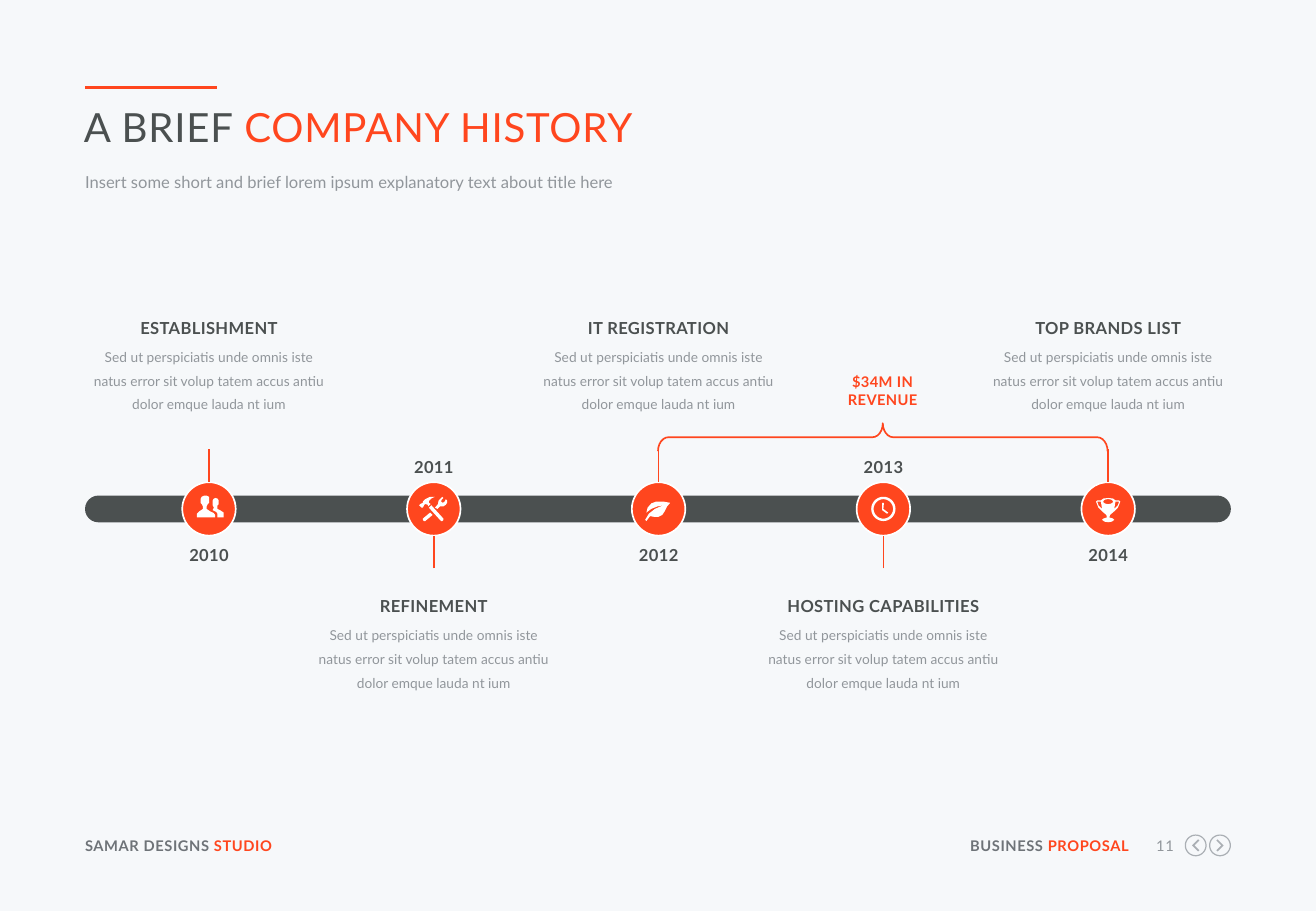
from dataclasses import dataclass
from math import cos, pi, sin

from lxml.etree import SubElement
from pptx import Presentation
from pptx.dml.color import RGBColor
from pptx.enum.shapes import MSO_CONNECTOR, MSO_SHAPE
from pptx.enum.text import PP_ALIGN
from pptx.oxml.ns import qn
from pptx.util import Inches, Pt


@dataclass(frozen=True)
class Theme:
    """Colours, type sizes and font of the slide."""
    background: str = "F6F8FA"
    accent: str = "FF461E"
    dark: str = "4B5050"
    footer: str = "6E7378"
    muted: str = "91969B"
    button: str = "AAAFB4"
    white: str = "FFFFFF"
    font: str = "Lato"
    title: float = 23.8
    heading: float = 9.8
    small: float = 8.7
    body: float = 8.1


THEME = Theme()
AXIS_Y = 4.19
FIRST_X, STEP = 1.72, 1.85
RADIUS = 0.22
STEM = 0.27
DETAIL = ("Sed ut perspiciatis unde omnis iste natus error sit volup tatem "
          "accus antiu dolor emque lauda nt ium")


def ring(radius_x, radius_y=None, center_y=0):
    """Return the outline of an ellipse in hundredths of an inch."""
    radius_y = radius_y or radius_x
    return [(radius_x * cos(pi * step / 18), center_y + radius_y * sin(pi * step / 18))
            for step in range(36)]


def mirror(outline):
    """Flip an outline from left to right."""
    return [(-x, y) for x, y in outline]


CHEVRON = [(-3, -4), (1, 0), (-3, 4), (-2, 5), (3, 0), (-2, -5)]
TROPHY_HANDLE = [(-5, 0), (-6, -6), (-9, -6), (-8, -3)]

PEOPLE = [
    [(5, 5), (5, 7), (-10, 7), (-10, 4), (-8, 2), (-5, 0), (-5, -2), (-6, -4),
     (-7, -5), (-7, -8), (-6, -10), (-4, -11), (-2, -11), (0, -10), (0, -5),
     (-1, -4), (-2, -2), (-2, 0), (1, 2), (4, 3.5)],
    [(7, 7), (7, 4), (6, 2.5), (3, 1), (4, -1), (3, -3), (3, -7), (4, -8.5),
     (5.5, -9), (7, -8.5), (8, -7), (8, -4), (7, -3), (7, 0), (9, 1), (12, 3), (12, 7)],
]
TOOLS = [
    [(-8, -3), (-7, -4), (-5, -3.5), (-4.5, -2), (-2.5, -4), (-4, -5), (-4, -6.5),
     (-2, -8.5), (1, -10), (-3, -10), (-7, -8), (-9, -6), (-9, -5), (-11, -4),
     (-12, -3), (-10, -1), (-9, -1)],
    [(-2, -3), (-4, -1), (6, 10), (7, 10), (8, 9), (8, 8)],
    [(11, -7), (10, -8), (9, -6), (7.5, -5), (6, -6), (6.5, -7.5), (8, -9), (7, -10),
     (4, -7), (3.5, -4), (1, -1), (3, 0), (5, -2), (8, -2), (10, -3.5), (11, -5)],
    [(-9, 8), (-9, 9), (-8, 10), (-7, 10), (-1, 5), (-3, 3)],
]
LEAF = [
    [(9.5, -5), (7, -2), (5, 2), (3, 5), (0, 6.5), (-4, 6.5), (-7, 6), (-10, 10),
     (-11, 9), (-8, 4), (-3, 0), (4, -3), (-1, -2), (-6, 0), (-10, 3), (-9, -1),
     (-6, -4.5), (-2, -6), (4, -6)],
]
CLOCK = [
    ring(10), ring(8),
    [(0, 0), (4, 3), (3, 4), (-1, 1), (-1, -5), (0.5, -5)],
]
TROPHY = [
    [(1, 7), (4, 8), (5, 9), (3, 10.5), (0, 11), (-3, 10.5), (-5, 9), (-4, 8), (-1, 7),
     (-1.5, 5), (-5, 2), (-8, -1), (-10, -6), (-9, -7), (-6, -7), (-4, -8.5), (0, -9),
     (4, -8.5), (6, -7), (9, -7), (10, -6), (8, -1), (5, 2), (1.5, 5)],
    TROPHY_HANDLE, mirror(TROPHY_HANDLE), ring(4, 2, -6),
]

MILESTONES = [
    ("2010", "ESTABLISHMENT", PEOPLE),
    ("2011", "REFINEMENT", TOOLS),
    ("2012", "IT REGISTRATION", LEAF),
    ("2013", "HOSTING CAPABILITIES", CLOCK),
    ("2014", "TOP BRANDS LIST", TROPHY),
]


def rgb(color):
    """Turn a hex string into a colour."""
    return RGBColor.from_string(color)


def add_text(shapes, left, top, width, height, runs, *, size, bold=False,
             align=PP_ALIGN.LEFT, leading=None, spacing=0):
    """Add a text box from (text, colour) runs; spacing is in points."""
    box = shapes.add_textbox(Inches(left), Inches(top), Inches(width), Inches(height))
    frame = box.text_frame
    frame.word_wrap = True
    frame.margin_left = frame.margin_right = frame.margin_top = frame.margin_bottom = 0
    paragraph = frame.paragraphs[0]
    paragraph.alignment = align
    if leading:
        paragraph.line_spacing = Pt(leading)
    for text, color in runs:
        run = paragraph.add_run()
        run.text = text
        run.font.name = THEME.font
        run.font.size = Pt(size)
        run.font.bold = bold
        run.font.color.rgb = rgb(color)
        if spacing:
            run._r.get_or_add_rPr().set("spc", str(round(spacing * 100)))


def paint(shape, fill=None, line=None):
    """Set the fill and outline of a shape and drop its shadow."""
    shape.shadow.inherit = False
    if fill:
        shape.fill.solid()
        shape.fill.fore_color.rgb = rgb(fill)
    else:
        shape.fill.background()
    if line:
        shape.line.color.rgb = rgb(line)
        shape.line.width = Pt(1)
    else:
        shape.line.fill.background()


def add_preset(shapes, preset, left, top, width, height, **colors):
    """Add a painted preset shape."""
    shape = shapes.add_shape(preset, Inches(left), Inches(top), Inches(width), Inches(height))
    paint(shape, **colors)
    return shape


def add_line(shapes, start, end, weight=1):
    """Add a straight accent line."""
    line = shapes.add_connector(MSO_CONNECTOR.STRAIGHT, *map(Inches, start + end))
    line.line.color.rgb = rgb(THEME.accent)
    line.line.width = Pt(weight)
    SubElement(line._element.spPr, qn("a:effectLst"))


def add_icon(shapes, center_x, center_y, outlines, fill):
    """Draw outlines around a centre as one filled freeform."""
    placed = [[(Inches(center_x + x / 100), Inches(center_y + y / 100)) for x, y in outline]
              for outline in outlines]
    builder = shapes.build_freeform(*placed[0][0])
    for outline in placed:
        builder.move_to(*outline[0])
        builder.add_line_segments(outline[1:], close=True)
    paint(builder.convert_to_shape(), fill=fill)


def add_milestone(shapes, index, year, heading, icon):
    """Add one stop of the timeline, text above on even stops and below on odd."""
    center = FIRST_X + STEP * index
    above = index % 2 == 0
    label = dict(size=THEME.heading, bold=True, align=PP_ALIGN.CENTER, spacing=0.2)
    add_text(shapes, center - 0.24, 4.49 if above else 3.76, 0.48, 0.16,
             [(year, THEME.dark)], **label)
    top = 2.62 if above else 4.91
    story = shapes.add_group_shape().shapes
    add_text(story, center - 0.95, top + 0.19, 1.9, 0.59, [(DETAIL, THEME.muted)],
             size=THEME.body, align=PP_ALIGN.CENTER, leading=14.1)
    add_text(story, center - 0.95, top, 1.9, 0.16, [(heading, THEME.dark)], **label)
    add_preset(shapes, MSO_SHAPE.OVAL, center - RADIUS, AXIS_Y - RADIUS, 2 * RADIUS,
               2 * RADIUS, fill=THEME.accent, line=THEME.white)
    side = -1 if above else 1
    edge = AXIS_Y + side * RADIUS
    add_line(shapes, (center, edge + side * STEM), (center, edge))
    add_icon(shapes, center, AXIS_Y, icon, THEME.white)


def add_header(shapes):
    """Add the accent rule, title and subtitle."""
    add_line(shapes, (0.7, 0.72), (1.79, 0.72), weight=2.25)
    add_text(shapes, 0.69, 0.84, 9.42, 0.41,
             [("A BRIEF ", THEME.dark), ("COMPANY HISTORY", THEME.accent)],
             size=THEME.title, spacing=0.5)
    add_text(shapes, 0.7, 1.4, 9.42, 0.21,
             [("Insert some short and brief lorem ipsum explanatory text about title here",
               THEME.muted)], size=THEME.heading, leading=13)


def add_footer(shapes):
    """Add the footer labels, page number and navigation buttons."""
    style = dict(size=THEME.small, spacing=0.3)
    add_text(shapes, 0.7, 6.89, 2.11, 0.15,
             [("SAMAR DESIGNS ", THEME.footer), ("STUDIO", THEME.accent)], bold=True, **style)
    add_text(shapes, 7.92, 6.89, 1.37, 0.15,
             [("BUSINESS ", THEME.footer), ("PROPOSAL", THEME.accent)],
             bold=True, align=PP_ALIGN.RIGHT, **style)
    add_text(shapes, 9.41, 6.89, 0.25, 0.15, [("11", THEME.muted)],
             align=PP_ALIGN.RIGHT, **style)
    for center, chevron in ((9.84, mirror(CHEVRON)), (10.04, CHEVRON)):
        add_icon(shapes, center, 6.96, [ring(9), ring(8), chevron], THEME.button)


def add_timeline(shapes):
    """Add the revenue brace, the bar and its milestones."""
    brace = add_preset(shapes, MSO_SHAPE.LEFT_BRACE, 7.15, 1.75, 0.23, 3.7, line=THEME.accent)
    brace.rotation = 90
    brace.adjustments[0] = 0.372
    add_text(shapes, 6.83, 3.07, 0.87, 0.29, [("$34M IN REVENUE", THEME.accent)],
             size=THEME.small, bold=True, align=PP_ALIGN.CENTER, spacing=0.2)
    bar = add_preset(shapes, MSO_SHAPE.ROUNDED_RECTANGLE, 0.7, AXIS_Y - 0.11, 9.43, 0.22,
                     fill=THEME.dark)
    bar.adjustments[0] = 0.5
    for index, milestone in enumerate(MILESTONES):
        add_milestone(shapes, index, *milestone)


def main():
    """Build and save the company history slide."""
    deck = Presentation()
    deck.slide_width, deck.slide_height = Inches(10.83), Inches(7.5)
    slide = deck.slides.add_slide(deck.slide_layouts[6])
    slide.background.fill.solid()
    slide.background.fill.fore_color.rgb = rgb(THEME.background)
    add_header(slide.shapes)
    add_timeline(slide.shapes)
    add_footer(slide.shapes)
    deck.save("out.pptx")


if __name__ == "__main__":
    main()
